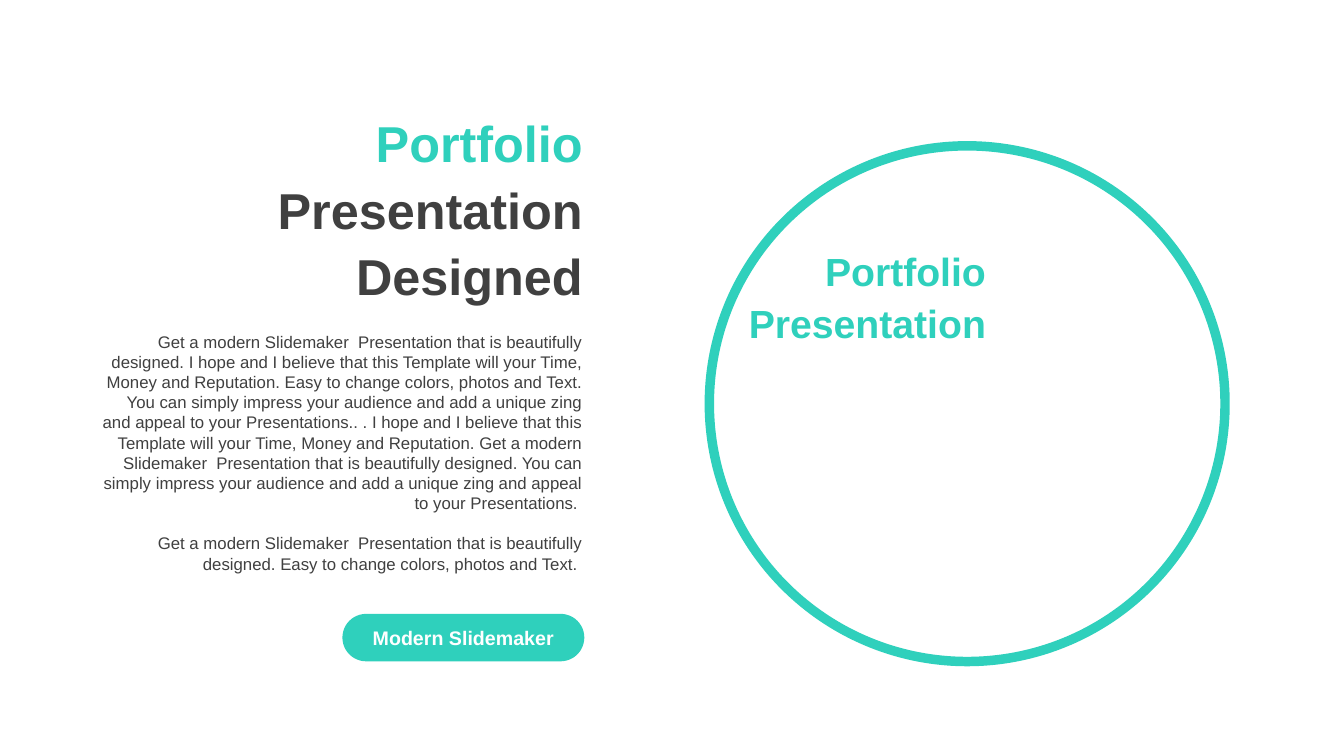
from dataclasses import dataclass

from pptx import Presentation
from pptx.dml.color import RGBColor
from pptx.enum.shapes import MSO_SHAPE as Preset
from pptx.enum.text import MSO_ANCHOR as Anchor, PP_ALIGN as Align
from pptx.slide import Slide
from pptx.text.text import TextFrame
from pptx.util import Pt

TEAL = RGBColor(0x2F, 0xD0, 0xBC)
CHARCOAL = RGBColor(0x40, 0x40, 0x40)
WHITE = RGBColor(0xFF, 0xFF, 0xFF)
FONT_NAME = "Arial"


@dataclass(frozen=True)
class Area:
    left: float
    top: float
    width: float
    height: float

    def lengths(self) -> tuple[Pt, Pt, Pt, Pt]:
        return Pt(self.left), Pt(self.top), Pt(self.width), Pt(self.height)


@dataclass(frozen=True)
class Span:
    text: str
    color: RGBColor


@dataclass(frozen=True)
class Copy:
    paras: list[list[Span]]
    size: float
    bold: bool = False
    align: Align = Align.RIGHT
    anchor: Anchor = Anchor.MIDDLE
    line_spacing: float = 1.0
    first_gap: float = 0
    para_gap: float = 0


@dataclass(frozen=True)
class Figure:
    preset: Preset
    area: Area
    adjustment: float
    label: Copy | None = None


@dataclass(frozen=True)
class TextBlock:
    area: Area
    copy: Copy


# Content
INTRO = "Get a modern Slidemaker  Presentation that is beautifully designed. "
HOPE = "I hope and I believe that this Template will your Time, Money and Reputation. "
EASY = "Easy to change colors, photos and Text. "
IMPRESS = ("You can simply impress your audience and add a unique zing "
           "and appeal to your Presentations.")

FIGURES = [
    Figure(Preset.DONUT, Area(503.3, 100.8, 375.1, 375.1), 0.018),
    Figure(Preset.ROUNDED_RECTANGLE, Area(244.6, 438.5, 172.8, 33.9), 0.5,
           Copy([[Span("Modern Slidemaker", WHITE)]], 14, bold=True,
                align=Align.CENTER)),
]

TEXT_BLOCKS = [
    TextBlock(Area(179.3, 73.4, 244.1, 147.6),
              Copy([[Span("Portfolio ", TEAL),
                     Span("Presentation Designed", CHARCOAL)]],
                   36, bold=True, line_spacing=1.1, first_gap=7.2)),
    TextBlock(Area(66.2, 233.3, 357.1, 167),
              Copy([[Span(INTRO + HOPE + EASY + IMPRESS + ". . " + HOPE
                          + INTRO + IMPRESS + " ", CHARCOAL)],
                    [Span(INTRO + EASY, CHARCOAL)]],
                   12, anchor=Anchor.TOP, para_gap=14.4)),
    TextBlock(Area(480.2, 172.8, 231.1, 74.9),
              Copy([[Span("Portfolio Presentation", TEAL)]],
                   28, bold=True, line_spacing=1.1, first_gap=5.6)),
]


def write_copy(frame: TextFrame, copy: Copy) -> None:
    frame.word_wrap = True
    frame.vertical_anchor = copy.anchor
    for index, spans in enumerate(copy.paras):
        para = frame.add_paragraph() if index else frame.paragraphs[0]
        para.alignment = copy.align
        para.line_spacing = copy.line_spacing
        para.space_before = Pt(copy.para_gap if index else copy.first_gap)
        for span in spans:
            run = para.add_run()
            run.text = span.text
            run.font.name = FONT_NAME
            run.font.size = Pt(copy.size)
            run.font.bold = copy.bold
            run.font.color.rgb = span.color


def draw_figure(page: Slide, figure: Figure) -> None:
    shape = page.shapes.add_shape(figure.preset, *figure.area.lengths())
    shape.adjustments[0] = figure.adjustment
    shape.shadow.inherit = False
    shape.fill.solid()
    shape.fill.fore_color.rgb = TEAL
    shape.line.fill.background()
    if figure.label:
        write_copy(shape.text_frame, figure.label)


def draw_text(page: Slide, block: TextBlock) -> None:
    box = page.shapes.add_textbox(*block.area.lengths())
    write_copy(box.text_frame, block.copy)


def main() -> None:
    deck = Presentation()
    deck.slide_width, deck.slide_height = Pt(960), Pt(540)
    page = deck.slides.add_slide(deck.slide_layouts[6])

    # Ring and button
    for figure in FIGURES:
        draw_figure(page, figure)

    # Heading, body and ring caption
    for block in TEXT_BLOCKS:
        draw_text(page, block)

    deck.save("out.pptx")


if __name__ == "__main__":
    main()
